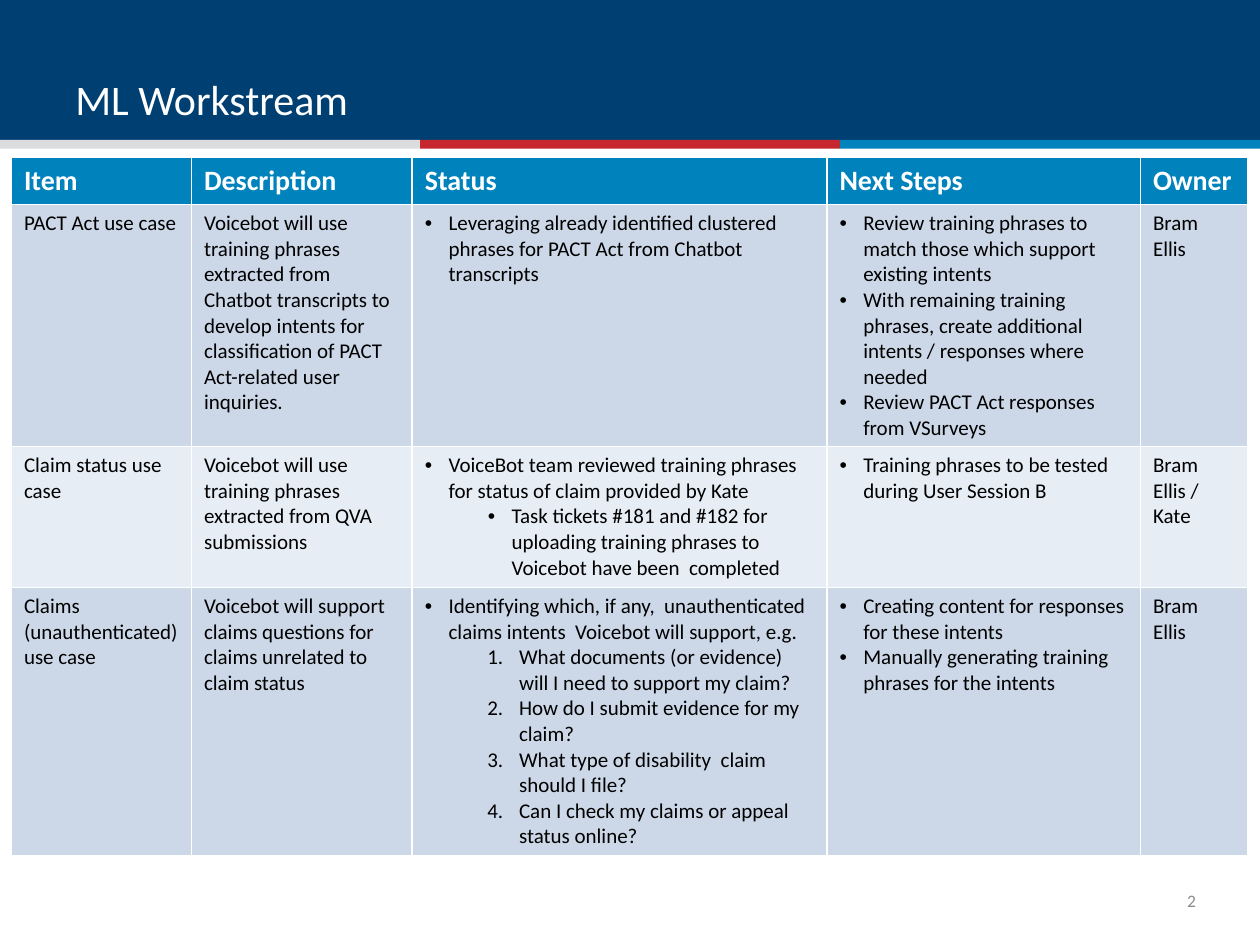
from dataclasses import dataclass

from lxml.etree import SubElement
from pptx import Presentation
from pptx.dml.color import RGBColor
from pptx.enum.shapes import MSO_SHAPE
from pptx.enum.text import MSO_ANCHOR, PP_ALIGN
from pptx.oxml.ns import qn
from pptx.util import Cm, Pt


@dataclass(frozen=True)
class Theme:
    font: str = "Calibri"
    navy: str = "003F72"
    silver: str = "DBDCDE"
    red: str = "C6262D"
    blue: str = "0082BD"
    white: str = "FFFFFF"
    black: str = "000000"
    grey: str = "8C8C8C"
    bands: tuple = ("CCD8E8", "E7EDF4")
    title_size: int = 24
    header_size: int = 16
    body_size: int = 12
    number_size: int = 10


@dataclass(frozen=True)
class ListStyle:
    level: int
    left: float
    hanging: float
    tag: str
    marker: dict


BULLET = ListStyle(0, 0.48, 0.48, "a:buChar", {"char": "•"})
SUB_BULLET = ListStyle(1, 1.75, 0.48, "a:buChar", {"char": "•"})
NUMBERED = ListStyle(1, 1.9, 0.64, "a:buAutoNum", {"type": "arabicPeriod"})


def listed(style, *texts):
    """Pair each text with its list style."""
    return [(text, style) for text in texts]


def plain(*texts):
    return listed(None, *texts)


class SlideBuilder:
    def __init__(self, slide, theme):
        self.slide = slide
        self.theme = theme

    def style_font(self, paragraph, size, color, bold=False):
        font = paragraph.font
        font.name = self.theme.font
        font.size = Pt(size)
        font.bold = bold
        font.color.rgb = RGBColor.from_string(color)

    def bar(self, left, top, width, height, color):
        bar = self.slide.shapes.add_shape(
            MSO_SHAPE.RECTANGLE, Cm(left), Cm(top), Cm(width), Cm(height))
        bar.shadow.inherit = False
        bar.fill.solid()
        bar.fill.fore_color.rgb = RGBColor.from_string(color)
        bar.line.fill.background()

    def text(self, left, top, width, height, words, size, color,
             anchor, align=PP_ALIGN.LEFT, inset=None):
        frame = self.slide.shapes.add_textbox(
            Cm(left), Cm(top), Cm(width), Cm(height)).text_frame
        frame.word_wrap = True
        frame.vertical_anchor = anchor
        if inset is not None:
            frame.margin_left = frame.margin_right = Cm(inset)
            frame.margin_top = frame.margin_bottom = Cm(inset)
        paragraph = frame.paragraphs[0]
        paragraph.text = words
        paragraph.alignment = align
        self.style_font(paragraph, size, color)

    def list_marker(self, paragraph, style):
        paragraph.level = style.level
        properties = paragraph._p.get_or_add_pPr()
        properties.set("marL", str(Cm(style.left)))
        properties.set("indent", str(-Cm(style.hanging)))
        SubElement(properties, qn("a:buFont"), typeface="Arial")
        SubElement(properties, qn(style.tag), style.marker)

    def cell(self, cell, lines, fill, size, color, bold):
        cell.fill.solid()
        cell.fill.fore_color.rgb = RGBColor.from_string(fill)
        frame = cell.text_frame
        for index, (words, style) in enumerate(lines):
            paragraph = frame.add_paragraph() if index else frame.paragraphs[0]
            paragraph.text = words
            if style:
                self.list_marker(paragraph, style)
            self.style_font(paragraph, size, color, bold)

    def table(self, left, top, widths, heights, headers, rows):
        theme = self.theme
        table = self.slide.shapes.add_table(
            len(heights), len(widths), Cm(left), Cm(top),
            Cm(sum(widths)), Cm(sum(heights))).table
        for column, width in zip(table.columns, widths):
            column.width = Cm(width)
        for row, height in zip(table.rows, heights):
            row.height = Cm(height)
        for column, header in enumerate(headers):
            self.cell(table.cell(0, column), plain(header), theme.blue,
                      theme.header_size, theme.white, True)
        for index, row in enumerate(rows):
            for column, lines in enumerate(row):
                self.cell(table.cell(index + 1, column), lines,
                          theme.bands[index % 2], theme.body_size,
                          theme.black, False)


HEADERS = ["Item", "Description", "Status", "Next Steps", "Owner"]
WORK_ITEMS = [
    [
        plain("PACT Act use case"),
        plain("Voicebot will use training phrases extracted from Chatbot "
              "transcripts to develop intents for classification of PACT "
              "Act-related user inquiries."),
        listed(BULLET, "Leveraging already identified clustered phrases "
                       "for PACT Act from Chatbot transcripts"),
        listed(BULLET,
               "Review training phrases to match those which support "
               "existing intents",
               "With remaining training phrases, create additional "
               "intents / responses where needed",
               "Review PACT Act responses from VSurveys"),
        plain("Bram", "Ellis"),
    ],
    [
        plain("Claim status use case"),
        plain("Voicebot will use training phrases extracted from QVA "
              "submissions"),
        listed(BULLET, "VoiceBot team reviewed training phrases for status "
                       "of claim provided by Kate")
        + listed(SUB_BULLET, "Task tickets #181 and #182 for uploading "
                             "training phrases to Voicebot have "
                             "been  completed"),
        listed(BULLET, "Training phrases to be tested during User Session B"),
        plain("Bram Ellis / Kate"),
    ],
    [
        plain("Claims", "(unauthenticated) use case"),
        plain("Voicebot will support claims questions for claims unrelated "
              "to claim status"),
        listed(BULLET, "Identifying which, if any,  unauthenticated  "
                       "claims intents  Voicebot will support, e.g.")
        + listed(NUMBERED,
                 "What documents (or evidence) will I need to support "
                 "my claim?",
                 "How do I submit evidence for my claim?",
                 "What type of disability  claim should I file?",
                 "Can I check my claims or appeal status online?"),
        listed(BULLET,
               "Creating content for responses for these intents",
               "Manually generating training phrases for the intents"),
        plain("Bram", "Ellis"),
    ],
]


def main():
    theme = Theme()
    deck = Presentation()
    deck.slide_width, deck.slide_height = Cm(25.4), Cm(19.05)
    page = SlideBuilder(deck.slides.add_slide(deck.slide_layouts[6]), theme)

    page.bar(0, 0, 25.4, 2.9, theme.navy)
    stripe = 25.4 / 3
    for index, color in enumerate((theme.silver, theme.red, theme.blue)):
        page.bar(index * stripe, 2.82, stripe, 0.18, color)

    page.text(1.27, 0.36, 22.86, 2.26, "ML Workstream", theme.title_size,
              theme.white, MSO_ANCHOR.BOTTOM)
    page.text(23.42, 17.65, 0.69, 1.02, "2", theme.number_size, theme.grey,
              MSO_ANCHOR.MIDDLE, PP_ALIGN.RIGHT, inset=0)
    page.table(0.23, 3.18, [3.63, 4.45, 8.36, 6.32, 2.16],
               [0.94, 4.88, 2.84, 5.41], HEADERS, WORK_ITEMS)

    deck.save("out.pptx")


if __name__ == "__main__":
    main()
